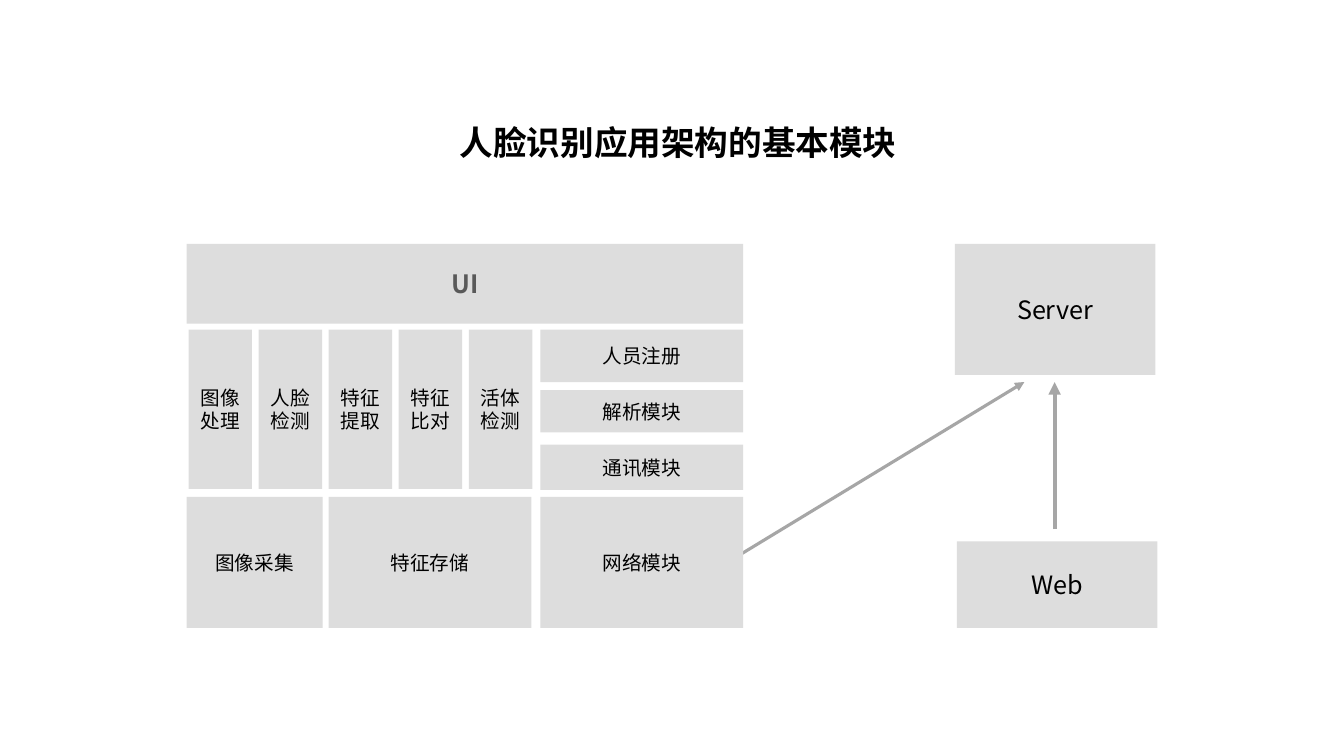
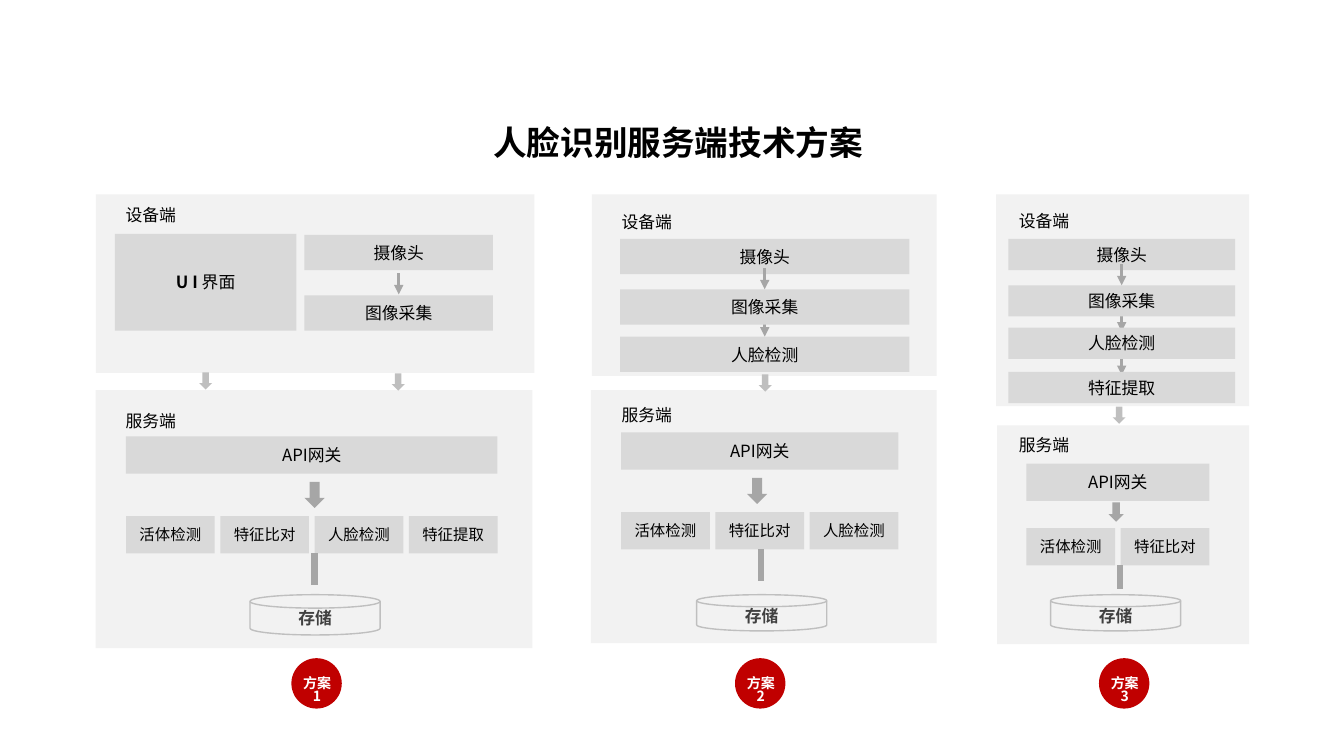
import dataclasses

import pptx
import pptx.dml.color
import pptx.enum.shapes
import pptx.enum.text
import pptx.oxml.ns
import pptx.util
from lxml import etree

Inches = pptx.util.Inches
Pt = pptx.util.Pt
Kind = pptx.enum.shapes.MSO_SHAPE
Anchor = pptx.enum.text.MSO_ANCHOR
Align = pptx.enum.text.PP_ALIGN
qn = pptx.oxml.ns.qn


@dataclasses.dataclass(frozen=True)
class Theme:
    font: str = "Noto Sans CJK SC"
    ink: str = "000000"
    white: str = "FFFFFF"
    dim: str = "595959"
    dark: str = "404040"
    tile: str = "DDDDDD"
    box: str = "D9D9D9"
    panel: str = "F2F2F2"
    arrow: str = "A6A6A6"
    pale: str = "BFBFBF"
    red: str = "C00000"
    title: float = 24
    large: float = 18
    body: float = 14
    label: float = 12
    small: float = 11
    badge: float = 10
    tight: float = 0.8


@dataclasses.dataclass(frozen=True)
class Plan:
    name: str
    top: tuple
    base: tuple
    labels: tuple
    stack: tuple
    steps: tuple
    heads: tuple
    links: tuple
    gate: tuple
    jobs: tuple
    gap: float
    drop: tuple
    stem: tuple
    disk: tuple
    badge: float


THEME = Theme()
CELL, PITCH, BAR = 0.88, 0.935, 0.37


def tint(code):
    return pptx.dml.color.RGBColor.from_string(code)


def write(frame, text, size=THEME.label, color=THEME.ink, bold=False, rest="",
          space=None, anchor=Anchor.MIDDLE, wrap=True, side=0.1):
    frame.word_wrap = wrap
    frame.auto_size = pptx.enum.text.MSO_AUTO_SIZE.NONE
    frame.vertical_anchor = anchor
    frame.margin_left = frame.margin_right = Inches(side)
    frame.margin_top = frame.margin_bottom = Inches(0.05)
    for at, line in enumerate(text.split("\n")):
        para = frame.paragraphs[0] if at == 0 else frame.add_paragraph()
        para.alignment = Align.CENTER
        para.space_before = Pt(0)
        if space:
            para.line_spacing = space
        for words, heavy in ((line, bold), (rest, False)):
            if not words:
                continue
            run = para.add_run()
            run.text = words
            run.font.size = Pt(size)
            run.font.bold = heavy
            run.font.color.rgb = tint(color)
            run.font.name = THEME.font
            east = etree.SubElement(run._r.get_or_add_rPr(), qn("a:ea"))
            east.set("typeface", THEME.font)


class Deck:
    """Holds the style and the current slide and draws each kind of element."""

    def __init__(self, theme):
        self.theme = theme
        self.show = pptx.Presentation()
        self.show.slide_width = Inches(13.33)
        self.show.slide_height = Inches(7.5)
        self.slide = None

    def start(self, title):
        self.slide = self.show.slides.add_slide(self.show.slide_layouts[5])
        head = self.slide.shapes.title
        head.left, head.top, head.width, head.height = map(Inches, (0.69, 1.24, 12.07, 0.52))
        write(head.text_frame, title, size=self.theme.title, bold=True,
              space=self.theme.tight, anchor=Anchor.TOP)

    def shape(self, area, fill, text="", kind=Kind.RECTANGLE, edge=None, **fmt):
        item = self.slide.shapes.add_shape(kind, *map(Inches, area))
        item.shadow.inherit = False
        item.fill.solid()
        item.fill.fore_color.rgb = tint(fill)
        if edge:
            item.line.color.rgb = tint(edge)
            item.line.width = Pt(1)
        else:
            item.line.fill.background()
        if text:
            write(item.text_frame, text, **fmt)

    def label(self, area, text, **fmt):
        item = self.slide.shapes.add_textbox(*map(Inches, area))
        write(item.text_frame, text, anchor=Anchor.TOP, **fmt)

    def line(self, start, end, width=2.25, head=True):
        item = self.slide.shapes.add_connector(
            pptx.enum.shapes.MSO_CONNECTOR.STRAIGHT, *map(Inches, (*start, *end)))
        item.line.color.rgb = tint(self.theme.arrow)
        item.line.width = Pt(width)
        if head:
            etree.SubElement(item.line._get_or_add_ln(), qn("a:tailEnd")).set("type", "triangle")
        etree.SubElement(item._element.spPr, qn("a:effectLst"))

    def block(self, mid, size, fill):
        x, y = mid
        wide, high = size
        self.shape((x - wide / 2, y - high / 2, wide, high), fill, kind=Kind.DOWN_ARROW)

    def badge(self, x, text):
        self.shape((x, 6.53, 0.5, 0.5), self.theme.red, kind=Kind.OVAL)
        self.label((x - 0.05, 6.67, 0.61, 0.4), text, size=self.theme.badge, bold=True,
                   color=self.theme.white, space=self.theme.tight, side=0.15)

    def client(self, plan):
        look = self.theme
        x, wide, high = plan.stack
        mid = x + wide / 2
        first, *others = plan.heads
        for y in others:
            self.line((mid, y), (mid, y + 0.21))
        for text, y in plan.steps:
            self.shape((x, y, wide, high), look.box, text)
        self.line((mid, first), (mid, first + 0.21))
        for spot in plan.links:
            self.block(spot, (0.13, 0.17), look.pale)

    def server(self, plan):
        look = self.theme
        x, y = plan.gate
        row = y + BAR + plan.gap
        self.shape((x, y, len(plan.jobs) * PITCH - PITCH + CELL, BAR), look.box, "API网关")
        for at, job in enumerate(plan.jobs):
            self.shape((x + at * PITCH, row, CELL, BAR), look.box, job, size=look.small)
        self.block(plan.drop[:2], plan.drop[2:], look.arrow)
        stem, size = plan.stem
        self.line((stem, row + BAR), (stem, row + BAR + size), width=4.5, head=False)
        left, high = plan.disk
        self.shape((left, 5.9, 1.29, high), look.panel, "存储", kind=Kind.FLOWCHART_MAGNETIC_DISK,
                   edge=look.pale, color=look.dark, bold=True)

    def scheme(self, plan):
        self.shape(plan.top, self.theme.panel)
        self.shape(plan.base, self.theme.panel)
        left, *tops = plan.labels
        for text, y in zip(("设备端", "服务端"), tops):
            self.label((left, y, 0.71, 0.3), text, wrap=False)
        self.client(plan)
        self.server(plan)
        self.badge(plan.badge, plan.name)


PLANS = (
    Plan("方案 1", (0.95, 1.93, 4.35, 1.77), (0.95, 3.87, 4.33, 2.56), (1.14, 1.98, 4.03),
         (3.02, 1.87, 0.35), (("摄像头", 2.33), ("图像采集", 2.93)), (2.71,),
         ((2.04, 3.78), (3.95, 3.79)), (1.25, 4.33),
         ("活体检测", "特征比对", "人脸检测", "特征提取"), 0.42,
         (3.12, 4.91, 0.2, 0.26), (3.12, 0.31), (2.48, 0.4), 2.89),
    Plan("方案 2", (5.87, 1.93, 3.42, 1.8), (5.86, 3.87, 3.43, 2.51), (6.06, 2.05, 3.97),
         (6.15, 2.87, 0.35), (("摄像头", 2.37), ("图像采集", 2.87), ("人脸检测", 3.34)),
         (2.66, 3.13), ((7.59, 3.8),), (6.16, 4.29),
         ("活体检测", "特征比对", "人脸检测"), 0.42,
         (7.51, 4.87, 0.2, 0.26), (7.55, 0.31), (6.91, 0.36), 7.29),
    Plan("方案 3", (9.88, 1.93, 2.51, 2.1), (9.89, 4.22, 2.5, 2.17), (10, 2.04, 4.26),
         (10, 2.25, 0.31),
         (("摄像头", 2.37), ("图像采集", 2.83), ("人脸检测", 3.25), ("特征提取", 3.69)),
         (2.62, 3.08, 3.51), ((11.1, 4.12),), (10.18, 4.6), ("活体检测", "特征比对"), 0.27,
         (11.07, 5.08, 0.15, 0.19), (11.11, 0.23), (10.42, 0.36), 10.9),
)


def modules(deck):
    look = deck.theme
    deck.start("人脸识别应用架构的基本模块")
    deck.line((7.23, 5.57), (10.16, 3.79))
    deck.shape((1.85, 2.42, 5.52, 0.79), look.tile, "UI", size=look.large,
               color=look.dim, bold=True)
    thin = ("图像处理", "人脸检测", "特征提取", "特征\n比对", "活体\n检测")
    for at, text in enumerate(thin):
        deck.shape((1.87 + at * 0.695, 3.27, 0.63, 1.58), look.tile, text, size=look.body)
    for text, y, high in (("人员注册", 3.27, 0.52), ("解析模块", 3.87, 0.42), ("通讯模块", 4.41, 0.45)):
        deck.shape((5.36, y, 2.01, high), look.tile, text, size=look.body)
    for text, x, wide in (("图像采集", 1.85, 1.35), ("特征存储", 3.26, 2.01), ("网络模块", 5.36, 2.01)):
        deck.shape((x, 4.93, wide, 1.3), look.tile, text, size=look.body)
    for text, x, y, high in (("Server", 9.47, 2.42, 1.3), ("Web", 9.49, 5.37, 0.86)):
        deck.shape((x, y, 1.99, high), look.tile, text, size=look.large)
    deck.line((10.46, 5.25), (10.46, 3.79), width=3)


def schemes(deck):
    deck.start("人脸识别服务端技术方案")
    for plan in PLANS:
        deck.scheme(plan)
    deck.shape((1.14, 2.32, 1.8, 0.96), deck.theme.box, "U I ", bold=True, rest="界面")


def main():
    deck = Deck(THEME)
    modules(deck)
    schemes(deck)
    deck.show.save("out.pptx")


if __name__ == "__main__":
    main()
